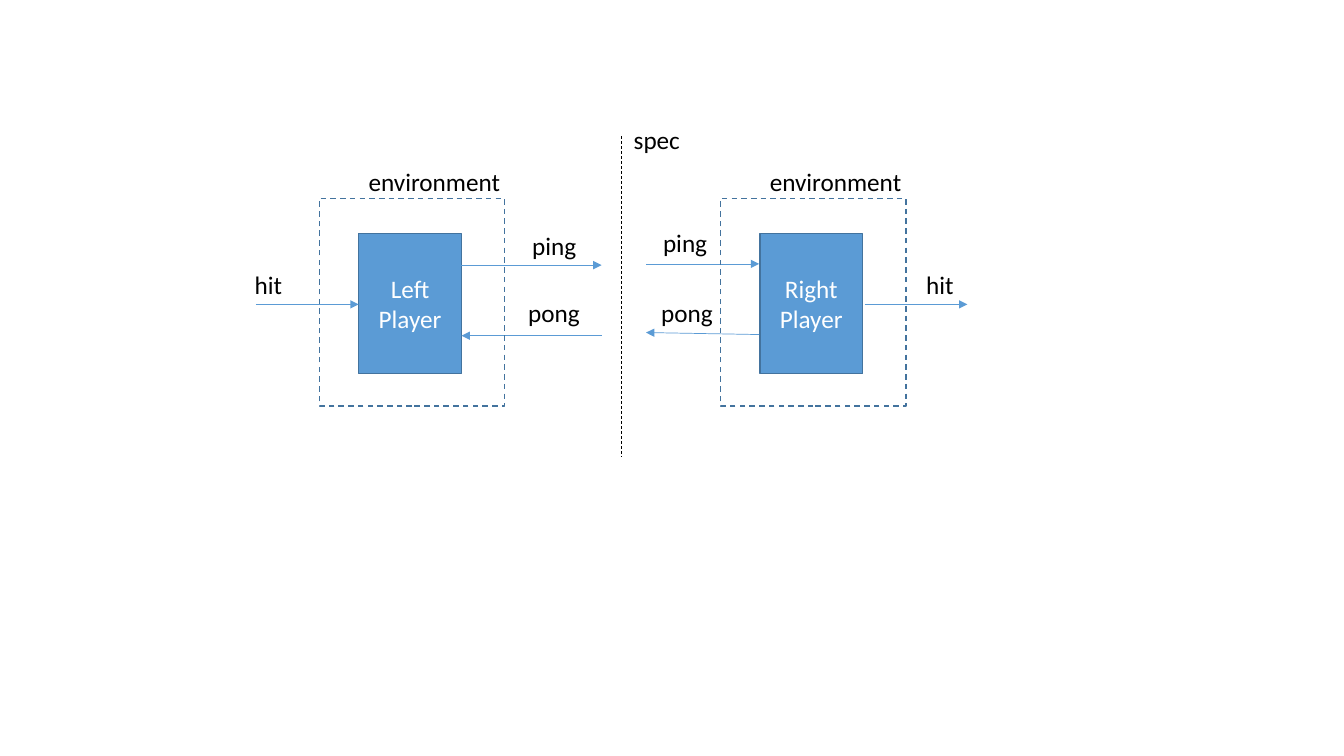
from lxml.etree import SubElement
from pptx import Presentation
from pptx.dml.color import RGBColor
from pptx.enum.dml import MSO_LINE
from pptx.enum.shapes import MSO_CONNECTOR, MSO_SHAPE
from pptx.enum.text import MSO_ANCHOR, MSO_AUTO_SIZE, PP_ALIGN
from pptx.oxml.ns import qn
from pptx.util import Cm, Pt

COLORS = {"blue": "5B9BD5", "edge": "43739E", "black": "000000", "white": "FFFFFF"}
WIDTHS = {"ping": 1.65, "pong": 1.83, "hit": 1.22, "environment": 3.86, "spec": 1.7}
SHIFT = 10.11


def color(name):
    return RGBColor.from_string(COLORS[name])


def set_font(para, name):
    para.font.name = "Calibri"
    para.font.size = Pt(18)
    para.font.color.rgb = color(name)


def add_rect(slide, left, top, width, height):
    rect = slide.shapes.add_shape(
        MSO_SHAPE.RECTANGLE, Cm(left), Cm(top), Cm(width), Cm(height))
    rect.shadow.inherit = False
    rect.line.color.rgb = color("edge")
    rect.line.width = Pt(1)
    return rect


def add_player(slide, side, shift):
    box = add_rect(slide, 9.04 + shift, 5.89, 2.59, 3.53)
    box.fill.solid()
    box.fill.fore_color.rgb = color("blue")
    frame = box.text_frame
    frame.vertical_anchor = MSO_ANCHOR.MIDDLE
    frame.text = f"{side}\nPlayer"
    for para in frame.paragraphs:
        para.alignment = PP_ALIGN.CENTER
        set_font(para, "white")


def add_scope(slide, shift):
    scope = add_rect(slide, 8.05 + shift, 5, 4.67, 5.23)
    scope.fill.background()
    scope.line.dash_style = MSO_LINE.DASH
    add_label(slide, "environment", 9.04 + shift, 4.06)


def add_label(slide, text, left, top):
    box = slide.shapes.add_textbox(Cm(left), Cm(top), Cm(WIDTHS[text]), Cm(1.02))
    frame = box.text_frame
    frame.word_wrap = False
    frame.auto_size = MSO_AUTO_SIZE.SHAPE_TO_FIT_TEXT
    frame.text = text
    set_font(frame.paragraphs[0], "black")


def add_line(slide, start, end, name):
    line = slide.shapes.add_connector(
        MSO_CONNECTOR.STRAIGHT, *map(Cm, start), *map(Cm, end))
    line.line.color.rgb = color(name)
    line.line.width = Pt(0.5)
    SubElement(line._element.spPr, qn("a:effectLst"))
    return line


def add_arrow(slide, start, end):
    arrow = add_line(slide, start, end, "blue")
    SubElement(arrow.line._get_or_add_ln(), qn("a:tailEnd"), type="triangle")


def main():
    deck = Presentation()
    deck.slide_width, deck.slide_height = Cm(33.87), Cm(19.05)
    slide = deck.slides.add_slide(deck.slide_layouts[6])

    sides = [
        ("Left", 0, [
            ("ping", (13.16, 5.69), (11.63, 6.68), (15.16, 6.68)),
            ("pong", (13.06, 7.37), (15.16, 8.46), (11.63, 8.46)),
            ("hit", (6.17, 6.65), (6.45, 7.67), (9.04, 7.67)),
        ]),
        ("Right", SHIFT, [
            ("ping", (16.46, 5.61), (16.28, 6.65), (19.13, 6.65)),
            ("pong", (16.41, 7.37), (19.13, 8.43), (16.28, 8.38)),
            ("hit", (23.09, 6.65), (21.79, 7.67), (24.38, 7.67)),
        ]),
    ]
    for side, shift, signals in sides:
        add_player(slide, side, shift)
        for text, place, start, end in signals:
            add_arrow(slide, start, end)
            add_label(slide, text, *place)
        add_scope(slide, shift)

    border = add_line(slide, (15.67, 3.43), (15.67, 11.51), "black")
    border.line.dash_style = MSO_LINE.DASH
    add_label(slide, "spec", 15.72, 3.02)
    deck.save("out.pptx")


main()
